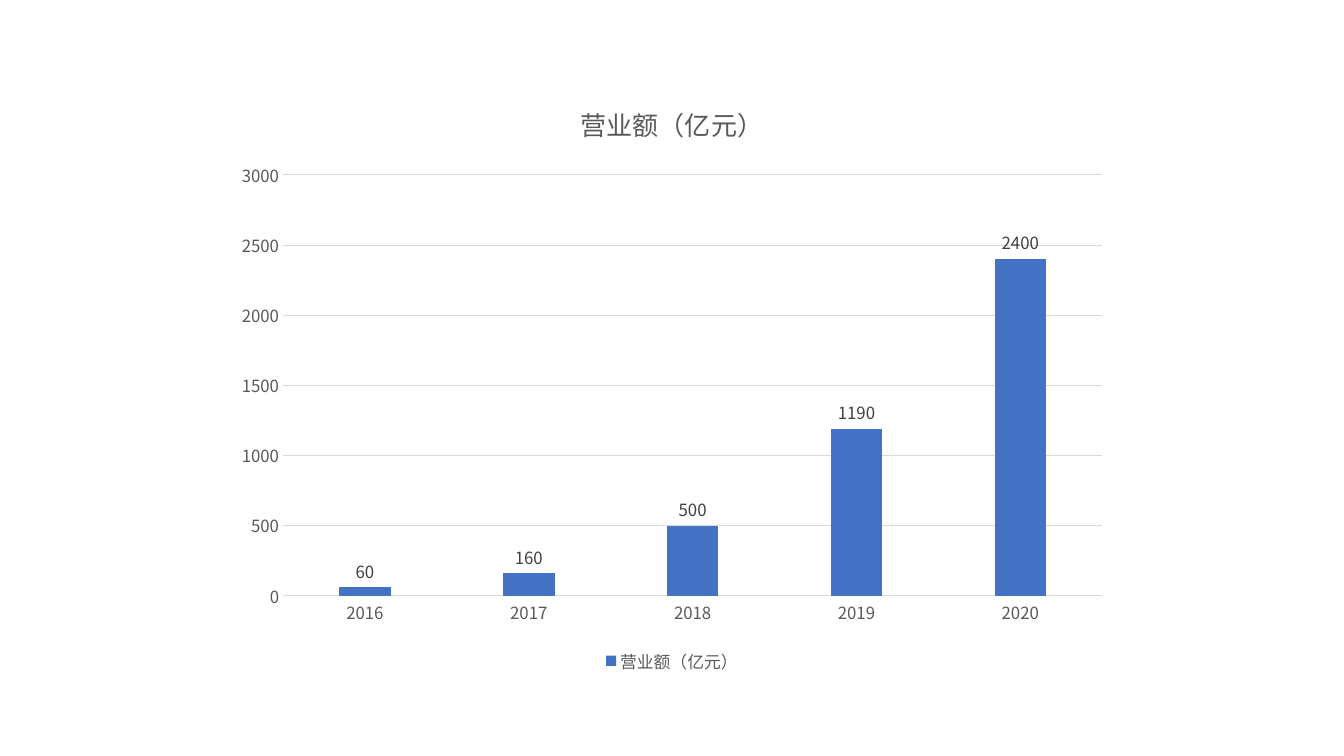
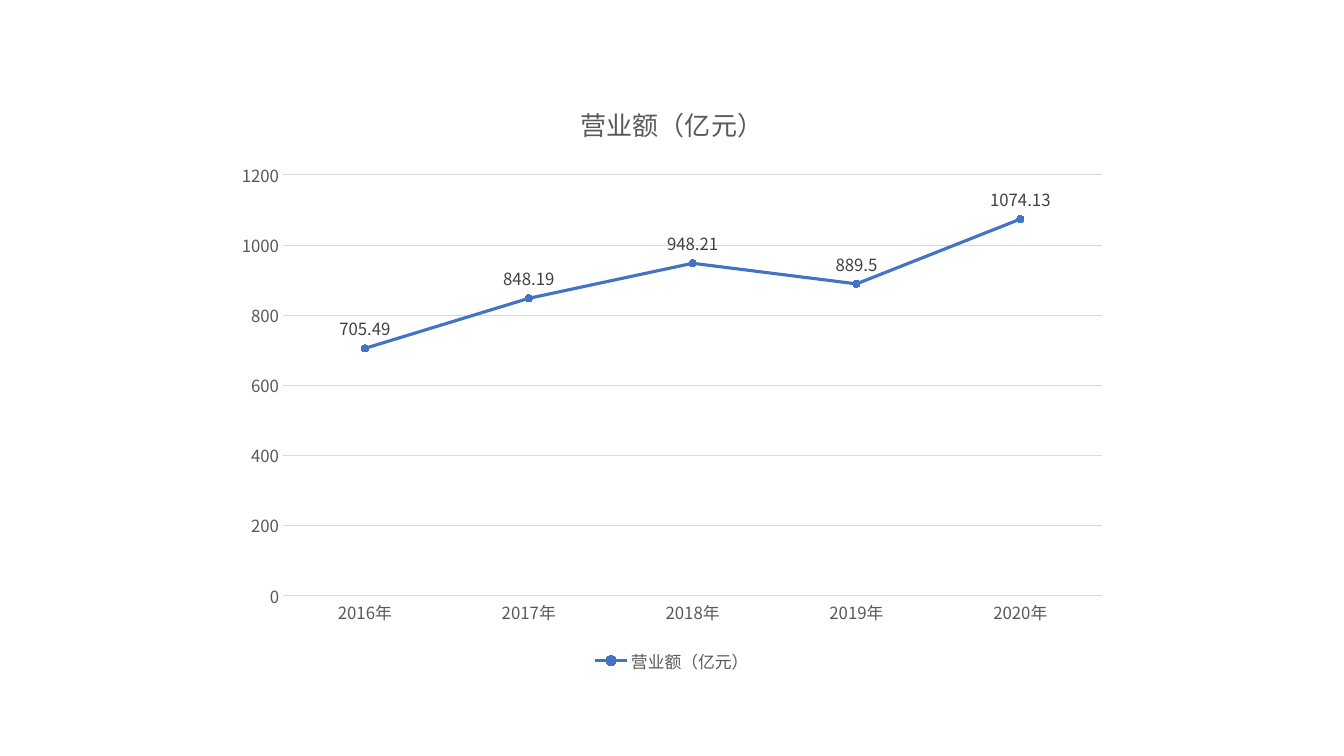
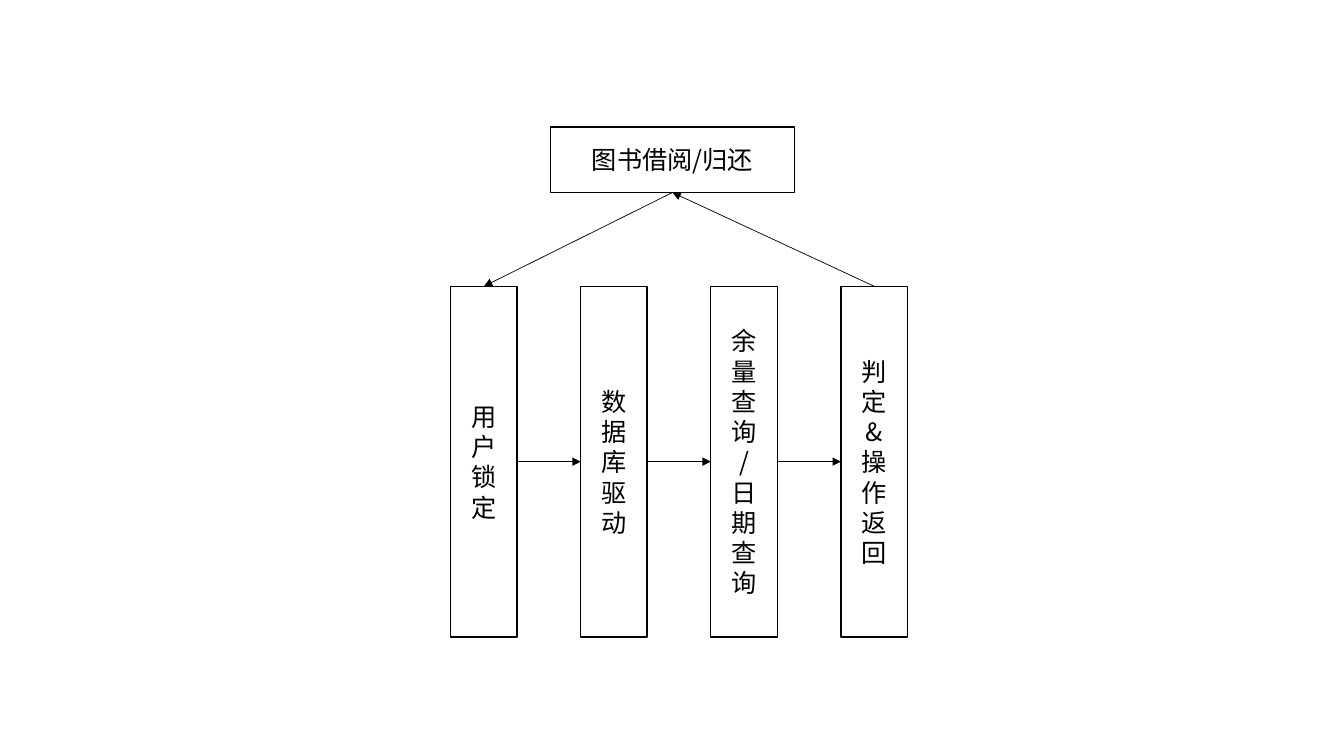
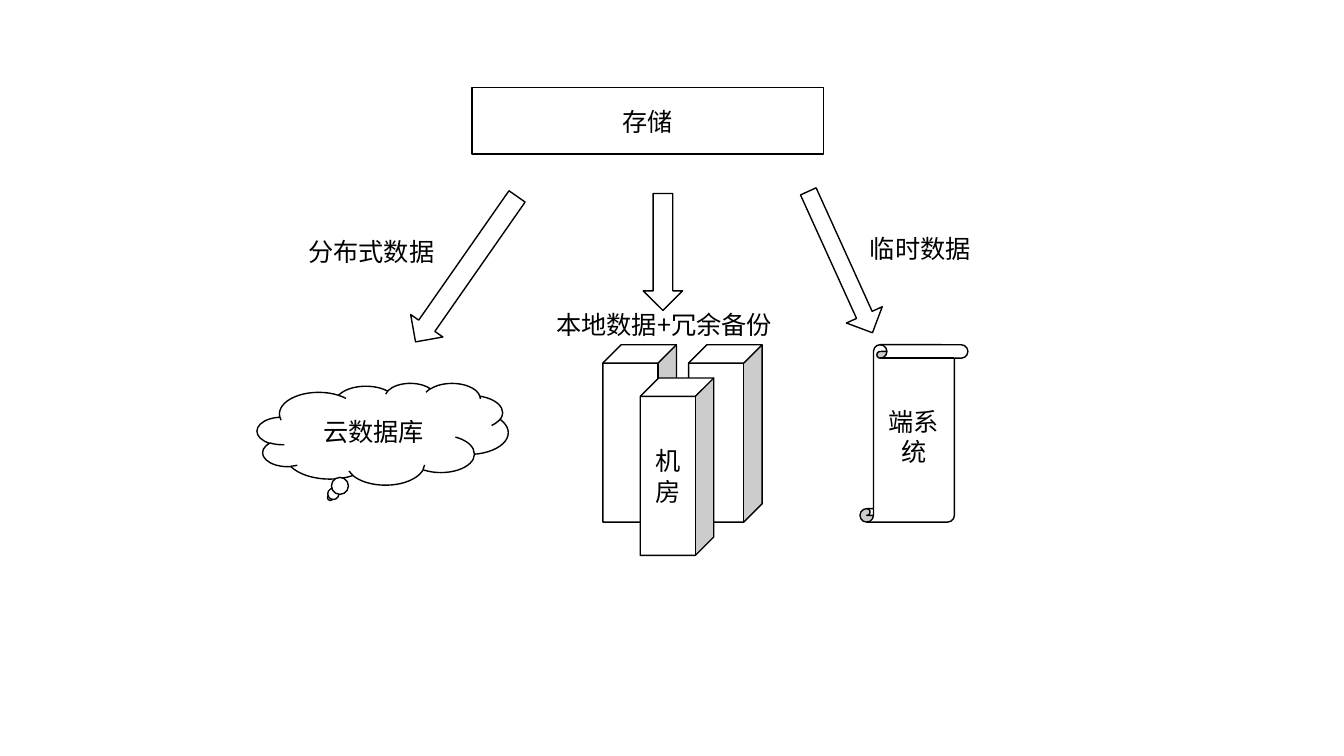
from lxml.etree import SubElement
from pptx import Presentation
from pptx.chart.data import CategoryChartData
from pptx.dml.color import RGBColor
from pptx.enum.chart import (XL_CHART_TYPE, XL_LABEL_POSITION, XL_LEGEND_POSITION,
                             XL_MARKER_STYLE, XL_TICK_MARK)
from pptx.enum.shapes import MSO_CONNECTOR, MSO_SHAPE
from pptx.enum.text import MSO_ANCHOR, MSO_AUTO_SIZE, PP_ALIGN
from pptx.oxml.ns import qn
from pptx.util import Pt

PX = 9144
FONT = "Noto Sans CJK SC"
BLACK, WHITE, BLUE = "000000", "FFFFFF", "4472C4"
GRID, AXIS_TEXT, LABEL_TEXT = "D9D9D9", "595959", "404040"
TOP, LEFT, BOTTOM, RIGHT = range(4)


def px(*lengths):
    """Turn px lengths into EMU."""
    return [round(n * PX) for n in lengths]


def rgb(color):
    """Turn a hex string into a colour."""
    return RGBColor.from_string(color)


def paint(fill, color):
    """Fill with one solid colour."""
    fill.solid()
    fill.fore_color.rgb = rgb(color)


def stroke(line, color, width):
    """Set a line's colour and width in points."""
    paint(line.fill, color)
    line.width = Pt(width)


def style_font(font, size, color):
    """Set the shared typeface with a size and colour."""
    font.name = FONT
    font.size = Pt(size)
    font.color.rgb = rgb(color)


def add_east_asian(root):
    """Give every Latin typeface its East Asian counterpart."""
    for latin in list(root.iter(qn("a:latin"))):
        ea = SubElement(latin.getparent(), qn("a:ea"), typeface=FONT)
        latin.addnext(ea)


def write(tf, text, align):
    """Write each line of text as a paragraph."""
    tf.word_wrap = True
    for i, line in enumerate(text.split("\n")):
        p = tf.add_paragraph() if i else tf.paragraphs[0]
        p.alignment = align
        r = p.add_run()
        r.text = line
        style_font(r.font, 18, BLACK)
    add_east_asian(tf._txBody)


def add_node(s, kind, box, text="", rotation=0):
    """Add a white outlined shape with centred text."""
    sp = s.shapes.add_shape(kind, *px(*box))
    sp.shadow.inherit = False
    sp.rotation = rotation
    paint(sp.fill, WHITE)
    stroke(sp.line, BLACK, 1)
    if text:
        sp.text_frame.vertical_anchor = MSO_ANCHOR.MIDDLE
        write(sp.text_frame, text, PP_ALIGN.CENTER)
    return sp


def add_label(s, box, text):
    """Add a plain text label."""
    tf = s.shapes.add_textbox(*px(*box)).text_frame
    write(tf, text, PP_ALIGN.LEFT)
    tf.auto_size = MSO_AUTO_SIZE.SHAPE_TO_FIT_TEXT


def add_arrow(s, start, start_site, end, end_site):
    """Join two shapes with a thin arrow."""
    cxn = s.shapes.add_connector(MSO_CONNECTOR.STRAIGHT, 0, 0, 0, 0)
    cxn.begin_connect(start, start_site)
    cxn.end_connect(end, end_site)
    stroke(cxn.line, BLACK, 0.5)
    SubElement(cxn.line._get_or_add_ln(), qn("a:tailEnd"), type="triangle")
    SubElement(cxn._element.spPr, qn("a:effectLst"))


def style_axes(chart, top, step):
    """Style both axes and scale the value axis."""
    for axis in (chart.category_axis, chart.value_axis):
        axis.major_tick_mark = axis.minor_tick_mark = XL_TICK_MARK.NONE
        style_font(axis.tick_labels.font, 12, AXIS_TEXT)
    stroke(chart.category_axis.format.line, GRID, 0.75)
    axis = chart.value_axis
    axis.format.line.fill.background()
    stroke(axis.major_gridlines.format.line, GRID, 0.75)
    axis.minimum_scale, axis.maximum_scale, axis.major_unit = 0, top, step


def add_turnover_chart(s, kind, categories, values, top, step, label_position):
    """Add a one-series turnover chart and return it."""
    name = "营业额（亿元）"
    data = CategoryChartData()
    data.categories = categories
    data.add_series(name, values)
    chart = s.shapes.add_chart(kind, *px(222, 79, 889, 593), data).chart
    style_font(chart.font, 10, BLACK)
    chart.has_title = True
    r = chart.chart_title.text_frame.paragraphs[0].add_run()
    r.text = name
    style_font(r.font, 18.6, AXIS_TEXT)
    r.font.bold = False
    chart.has_legend = True
    chart.legend.position = XL_LEGEND_POSITION.BOTTOM
    chart.legend.include_in_layout = False
    style_font(chart.legend.font, 12, AXIS_TEXT)
    style_axes(chart, top, step)
    plot = chart.plots[0]
    plot.vary_by_categories = False
    labels = plot.series[0].data_labels
    labels.show_value = True
    labels.position = label_position
    style_font(labels.font, 12, LABEL_TEXT)
    add_east_asian(chart._chartSpace)
    return chart


def build_columns(s):
    """Build the column chart slide."""
    chart = add_turnover_chart(
        s, XL_CHART_TYPE.COLUMN_CLUSTERED, [str(y) for y in range(2016, 2021)],
        [60, 160, 500, 1190, 2400], 3000, 500, XL_LABEL_POSITION.OUTSIDE_END)
    plot = chart.plots[0]
    plot.gap_width, plot.overlap = 219, -27
    paint(plot.series[0].format.fill, BLUE)


def build_line(s):
    """Build the line chart slide."""
    chart = add_turnover_chart(
        s, XL_CHART_TYPE.LINE_MARKERS, [f"{y}年" for y in range(2016, 2021)],
        [705.49, 848.19, 948.21, 889.5, 1074.13], 1200, 200, XL_LABEL_POSITION.ABOVE)
    series = chart.plots[0].series[0]
    series.smooth = False
    stroke(series.format.line, BLUE, 2.25)
    marker = series.marker
    marker.style, marker.size = XL_MARKER_STYLE.CIRCLE, 5
    paint(marker.format.fill, BLUE)
    stroke(marker.format.line, BLUE, 0.75)


def build_lending_flow(s):
    """Build the library lending loop."""
    lending = add_node(s, MSO_SHAPE.RECTANGLE, (546, 126, 242, 65), "图书借阅/归还")
    texts = ["用户锁定", "数据库驱动", "余量查询\n/\n日期查询", "判定\n&\n操作返回"]
    steps = [add_node(s, MSO_SHAPE.RECTANGLE, (447 + 129 * i, 284, 66, 348), text)
             for i, text in enumerate(texts)]
    add_arrow(s, lending, BOTTOM, steps[0], TOP)
    for step, following in zip(steps, steps[1:]):
        add_arrow(s, step, RIGHT, following, LEFT)
    add_arrow(s, steps[-1], TOP, lending, BOTTOM)


def build_storage(s):
    """Build the storage overview."""
    add_node(s, MSO_SHAPE.CLOUD_CALLOUT, (255, 380, 249, 101), "云数据库")
    for x, y, text in [(598, 342, ""), (683, 342, ""), (635, 375, "机房")]:
        add_node(s, MSO_SHAPE.CUBE, (x, y, 73, 176), text)
    add_node(s, MSO_SHAPE.VERTICAL_SCROLL, (853, 342, 107, 176), "端系统")
    add_node(s, MSO_SHAPE.RECTANGLE, (468, 87, 349, 66), "存储")
    for x, y, height, rotation in [(443, 179, 176, 214.9), (638, 192, 116, 180),
                                   (814, 183, 154, 155.6)]:
        arrow = add_node(s, MSO_SHAPE.UP_ARROW, (x, y, 39, height), rotation=rotation)
    arrow.adjustments[0] = 0.435
    for x, y, width, text in [(296, 230, 193, "分布式数据"), (542, 302, 250, "本地数据+冗余备份"),
                              (853, 227, 193, "临时数据")]:
        add_label(s, (x, y, width, 40), text)


def main():
    """Build and save the presentation."""
    prs = Presentation()
    prs.slide_width, prs.slide_height = px(1333, 750)
    for build in (build_columns, build_line, build_lending_flow, build_storage):
        build(prs.slides.add_slide(prs.slide_layouts[6]))
    prs.save("out.pptx")


if __name__ == "__main__":
    main()
